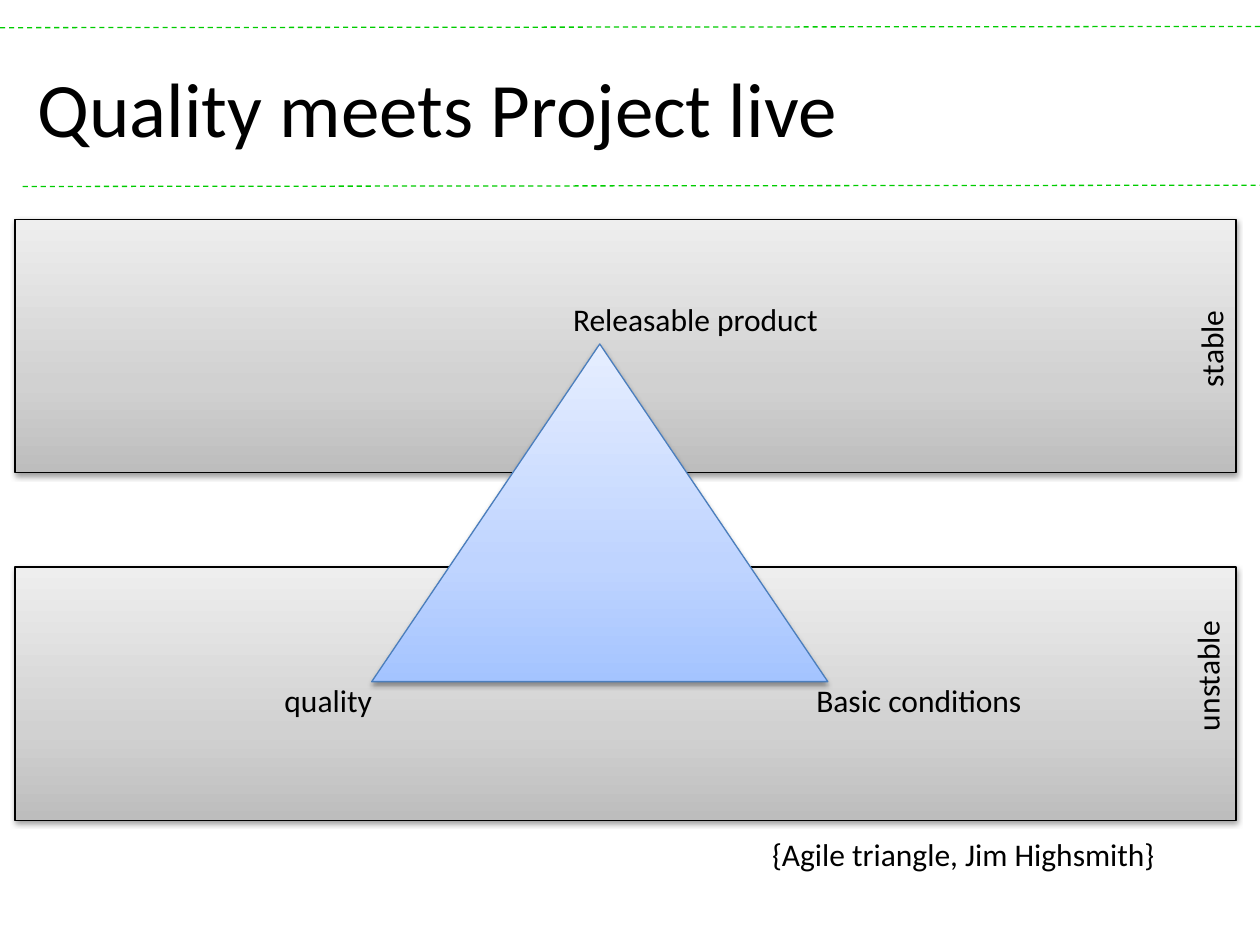
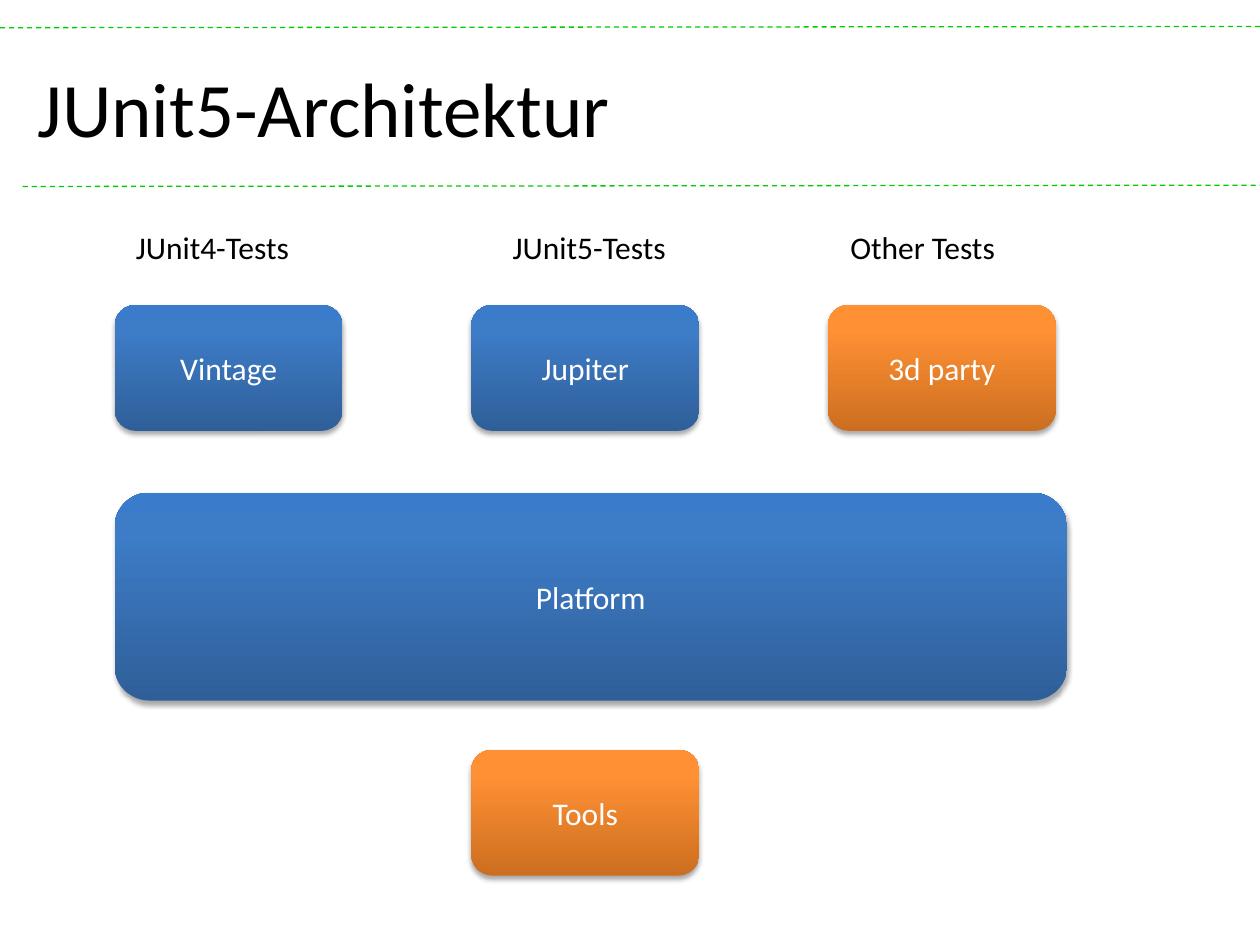
from dataclasses import dataclass

from lxml.etree import SubElement
from pptx import Presentation
from pptx.dml.color import RGBColor
from pptx.enum.dml import MSO_LINE
from pptx.enum.shapes import MSO_CONNECTOR, MSO_SHAPE as Preset
from pptx.enum.text import MSO_ANCHOR as Anchor, MSO_AUTO_SIZE as AutoSize, PP_ALIGN as Align
from pptx.oxml.ns import qn
from pptx.util import Inches, Pt


@dataclass(frozen=True)
class Theme:
    font: str = "Calibri"
    title_size: int = 44
    text_size: int = 18
    line_width: float = 0.75
    ink: str = "000000"
    paper: str = "FFFFFF"
    rule: str = "00CC00"
    triangle_edge: str = "4B7EBC"
    # Gradients run from the bottom upwards: (percent, colour)
    grey: tuple = ((0, "BDBDBD"), (35, "D1D1D1"), (100, "EEEEEE"))
    pale_blue: tuple = ((0, "A4C4FF"), (35, "BFD4FF"), (100, "E6EEFF"))
    blue: tuple = ((0, "2F5F99"), (80, "3D7CC7"), (100, "3A7CCB"))
    orange: tuple = ((0, "CC6E20"), (80, "FF9034"), (100, "FF9136"))


@dataclass(frozen=True)
class Box:
    left: float
    top: float
    width: float
    height: float

    def inner(self, left, top, width, height):
        """Return a box whose position is measured from this one's corner."""
        return Box(self.left + left, self.top + top, width, height)

    def lengths(self):
        return [Inches(n) for n in (self.left, self.top, self.width, self.height)]


THEME = Theme()
PAGE = Box(0, 0, 10, 7.5)
HEADER = Box(0, 0.21, 10, 1.27)
BODY = Box(0, 1.5, 10, 6)


def write(frame, words, size=THEME.text_size, color=THEME.ink, align=Align.LEFT):
    paragraph = frame.paragraphs[0]
    paragraph.text = words
    paragraph.alignment = align
    formats = {"name": THEME.font, "size": Pt(size)}
    for key, value in formats.items():
        setattr(paragraph.font, key, value)
    paragraph.font.color.rgb = RGBColor.from_string(color)


def add_label(slide, box, words, rotation=0):
    label = slide.shapes.add_textbox(*box.lengths())
    label.rotation = rotation
    label.text_frame.word_wrap = False
    label.text_frame.auto_size = AutoSize.SHAPE_TO_FIT_TEXT
    write(label.text_frame, words)


def add_rule(slide, start, end):
    rule = slide.shapes.add_connector(
        MSO_CONNECTOR.STRAIGHT, *(Inches(n) for n in (*start, *end)))
    rule.line.color.rgb = RGBColor.from_string(THEME.rule)
    rule.line.width = Pt(THEME.line_width)
    rule.line.dash_style = MSO_LINE.DASH
    SubElement(rule.element.spPr, qn("a:effectLst"))


def add_color(parent, color):
    return SubElement(parent, qn("a:srgbClr"), val=color)


def add_shadow(shape, opacity, distance):
    shape.shadow.inherit = False
    effects = shape.element.spPr.find(qn("a:effectLst"))
    shadow = SubElement(effects, qn("a:outerShdw"), blurRad=str(Pt(3.1)),
                        dist=str(Pt(distance)), dir="5400000", rotWithShape="0")
    SubElement(add_color(shadow, THEME.ink), qn("a:alpha"), val=str(opacity * 1000))


def add_panel(slide, preset, box, gradient, edge=None):
    """Add a gradient shape; one without an edge gets the deeper shadow."""
    panel = slide.shapes.add_shape(preset, *box.lengths())
    panel.fill.gradient()
    panel.fill.gradient_angle = 90
    stops = panel.element.spPr.find(qn("a:gradFill")).find(qn("a:gsLst"))
    for stop in list(stops):
        stops.remove(stop)
    for percent, color in gradient:
        add_color(SubElement(stops, qn("a:gs"), pos=str(percent * 1000)), color)
    if edge:
        panel.line.color.rgb = RGBColor.from_string(edge)
        panel.line.width = Pt(THEME.line_width)
        add_shadow(panel, opacity=38, distance=1.6)
    else:
        panel.line.fill.background()
        add_shadow(panel, opacity=35, distance=1.8)
    return panel


def add_module(slide, box, name, gradient):
    module = add_panel(slide, Preset.ROUNDED_RECTANGLE, box, gradient)
    module.text_frame.vertical_anchor = Anchor.MIDDLE
    write(module.text_frame, name, color=THEME.paper, align=Align.CENTER)


def add_header(slide, box, words):
    for left, right, drop in ((0, 10, 0), (0.18, 10.02, 1.26)):
        add_rule(slide, (box.left + left, box.top + drop + 0.01),
                 (box.left + right, box.top + drop))
    title = slide.shapes.add_textbox(*box.inner(0.2, 0.01, 9.69, 1.25).lengths())
    title.text_frame.word_wrap = True
    title.text_frame.vertical_anchor = Anchor.MIDDLE
    write(title.text_frame, words, THEME.title_size)


def add_agile_triangle(slide, box):
    band_pitch = 2.76
    for row in range(2):
        add_panel(slide, Preset.RECTANGLE,
                  box.inner(0.12, 0.24 + row * band_pitch, 9.69, 2.01),
                  THEME.grey, THEME.ink)
    add_panel(slide, Preset.ISOSCELES_TRIANGLE, box.inner(2.95, 1.23, 3.62, 2.68),
              THEME.pale_blue, THEME.triangle_edge)
    for words, left, top, width, rotation in (
        ("Releasable product", 4.45, 0.83, 2.17, 0),
        ("quality", 2.16, 3.86, 0.9, 0),
        ("Basic conditions", 6.38, 3.86, 1.85, 0),
        ("stable", 9.2, 1.06, 0.82, 270),
        ("unstable", 9.04, 3.66, 1.08, 270),
        ("{Agile triangle, Jim Highsmith}", 6.03, 5.08, 3.33, 0),
    ):
        add_label(slide, box.inner(left, top, width, 0.4), words, rotation)


def add_architecture(slide, box):
    first_left, column_pitch = 0.91, 2.83
    module_width, module_height = 1.81, 1
    engines = (
        ("JUnit4-Tests", 0.07, 1.43, "Vintage", THEME.blue),
        ("JUnit5-Tests", 0.23, 1.43, "Jupiter", THEME.blue),
        ("Other Tests", 0.08, 1.36, "3d party", THEME.orange),
    )
    for column, (tests, indent, width, engine, gradient) in enumerate(engines):
        left = first_left + column * column_pitch
        add_label(slide, box.inner(left + indent, 0.26, width, 0.4), tests)
        add_module(slide, box.inner(left, 0.92, module_width, module_height),
                   engine, gradient)
    add_module(slide, box.inner(first_left, 2.41, 7.56, 1.65), "Platform", THEME.blue)
    add_module(slide, box.inner(first_left + column_pitch, 4.45,
                                module_width, module_height), "Tools", THEME.orange)


def main():
    deck = Presentation()
    deck.slide_width, deck.slide_height = Inches(PAGE.width), Inches(PAGE.height)
    blank = deck.slide_layouts[6]
    for title, add_content in (
        ("Quality meets Project live", add_agile_triangle),
        ("JUnit5-Architektur", add_architecture),
    ):
        slide = deck.slides.add_slide(blank)
        add_header(slide, HEADER, title)
        add_content(slide, BODY)
    deck.save("out.pptx")


if __name__ == "__main__":
    main()
